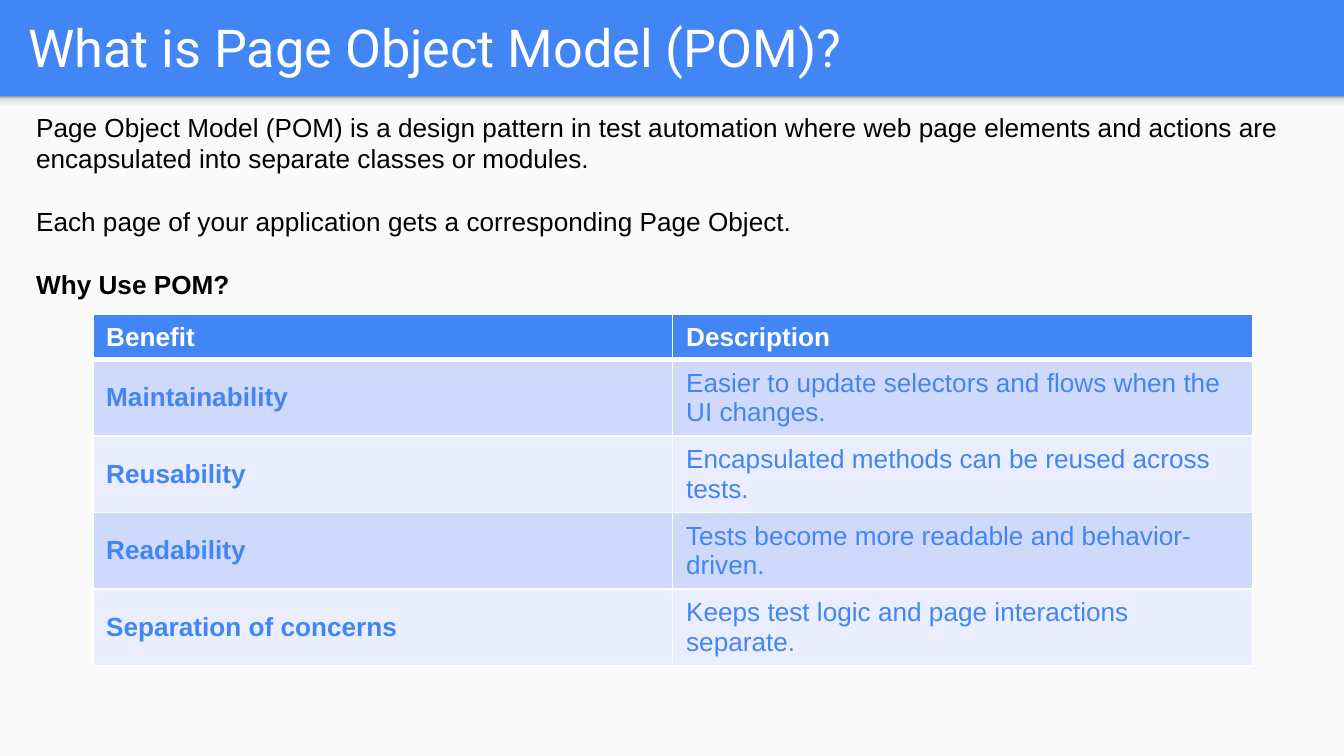
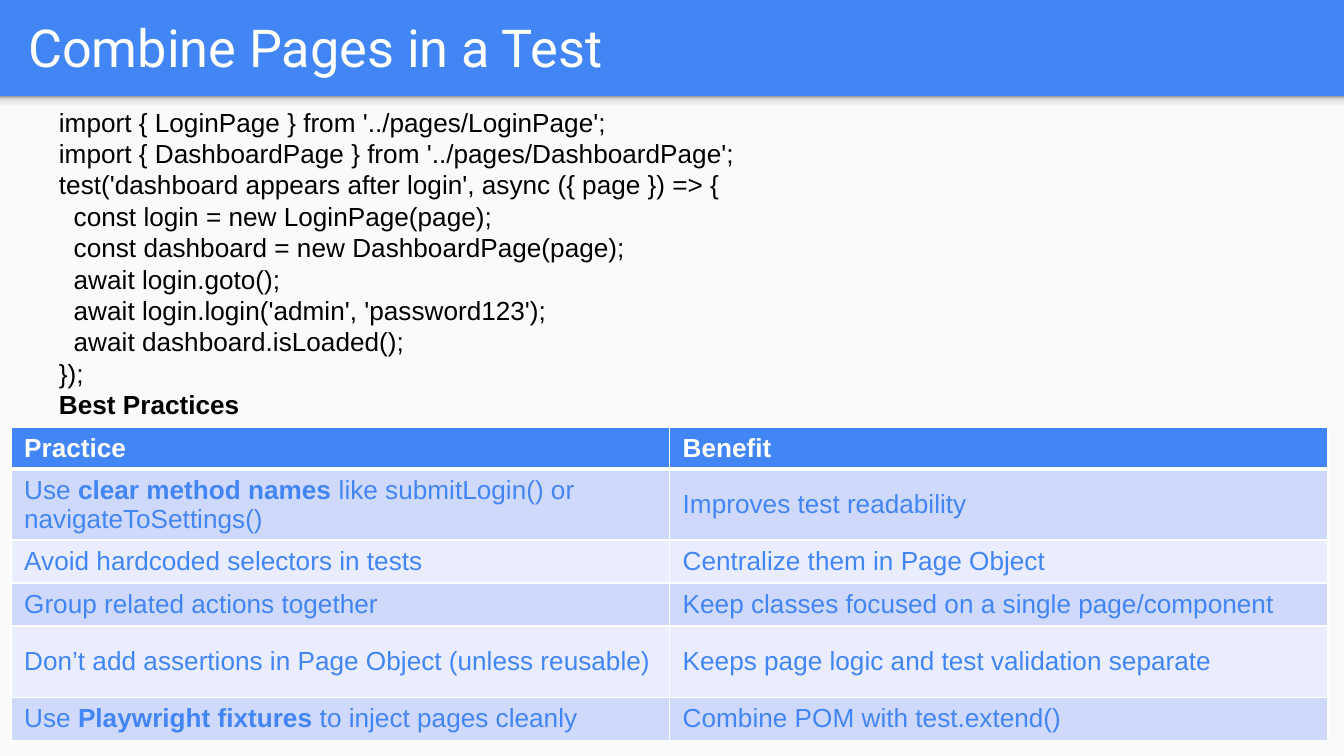
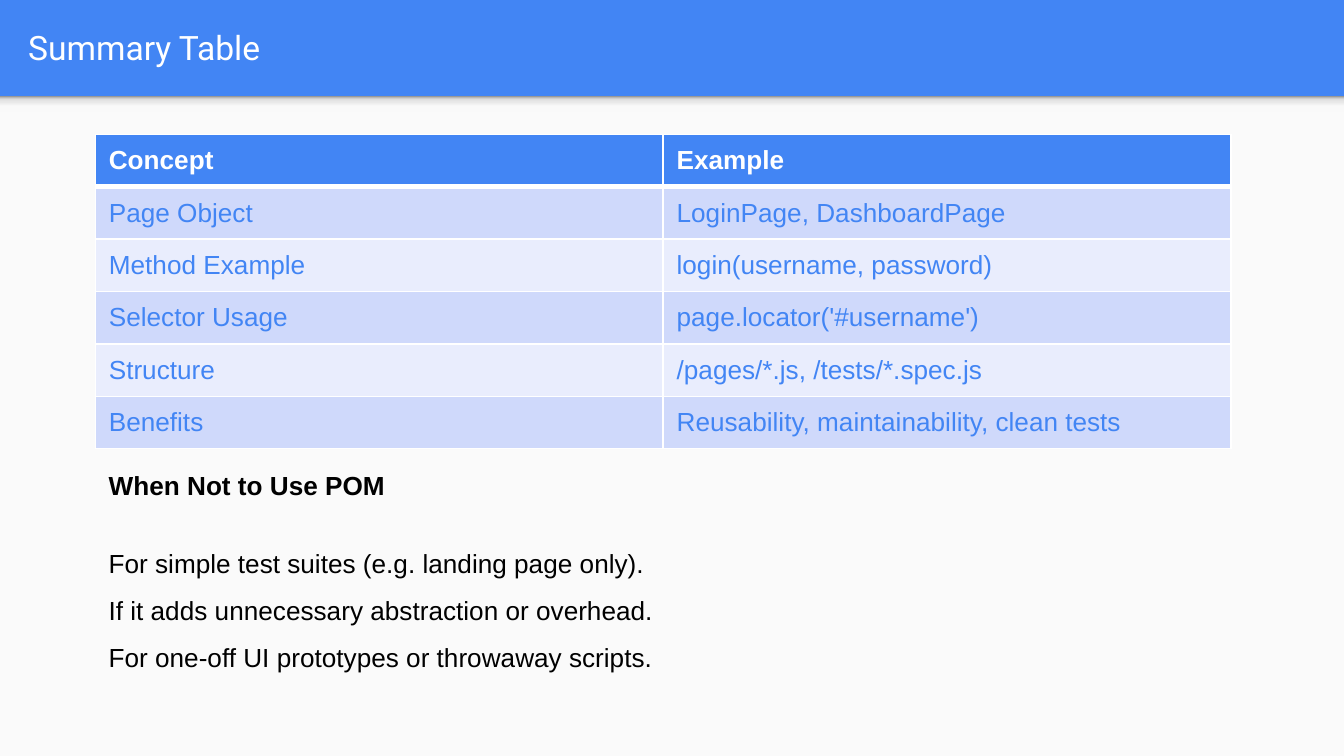
from dataclasses import dataclass

from lxml.etree import SubElement
from pptx import Presentation
from pptx.dml.color import RGBColor as RGB
from pptx.enum.shapes import MSO_SHAPE as SHAPE
from pptx.enum.text import MSO_ANCHOR as ANCHOR, PP_ALIGN as ALIGN
from pptx.oxml.ns import qn
from pptx.util import Inches, Pt


@dataclass(frozen=True)
class Theme:
    blue: str = "4285F4"
    paper: str = "FAFAFA"
    white: str = "FFFFFF"
    black: str = "000000"
    stripes: tuple = ("CFD9FB", "E9EDFD")
    shadow_stops: tuple = ((0, "F9F9F9"), (36, "F9F9F9"), (80, "DEDEDE"), (100, "999999"))
    title_font: str = "Roboto"
    body_font: str = "Arial"
    title_size: int = 28
    small_title_size: int = 18
    body_size: int = 14
    line_pitch: float = 16.8
    panel_height: float = 4.91


THEME = Theme()
WIDTH = 10
HEIGHT = WIDTH * 9 / 16

BENEFITS = [
    ("Benefit", "Description"),
    ("**Maintainability**", "Easier to update selectors and flows when the UI changes."),
    ("**Reusability**", "Encapsulated methods can be reused across tests."),
    ("**Readability**", "Tests become more readable and behavior-driven."),
    ("**Separation of concerns**", "Keeps test logic and page interactions separate."),
]
PRACTICES = [
    ("Practice", "Benefit"),
    ("Use **clear method names** like submitLogin() or navigateToSettings()",
     "Improves test readability"),
    ("Avoid hardcoded selectors in tests", "Centralize them in Page Object"),
    ("Group related actions together", "Keep classes focused on a single page/component"),
    ("Don’t add assertions in Page Object (unless reusable)",
     "Keeps page logic and test validation separate"),
    ("Use **Playwright fixtures** to inject pages cleanly", "Combine POM with test.extend()"),
]
SUMMARY = [
    ("Concept", "Example"),
    ("Page Object", "LoginPage, DashboardPage"),
    ("Method Example", "login(username, password)"),
    ("Selector Usage", "page.locator('#username')"),
    ("Structure", "/pages/*.js, /tests/*.spec.js"),
    ("Benefits", "Reusability, maintainability, clean tests"),
]
TEST_OPENING = [
    "import { LoginPage } from '../pages/LoginPage';",
    "import { DashboardPage } from '../pages/DashboardPage';",
    "test('dashboard appears after login', async ({ page }) => {",
]
TEST_STEPS = [
    "const login = new LoginPage(page);",
    "const dashboard = new DashboardPage(page);",
    "await login.goto();",
    "await login.login('admin', 'password123');",
    "await dashboard.isLoaded();",
]
POM_EXCEPTIONS = [
    "For simple test suites (e.g. landing page only).",
    "If it adds unnecessary abstraction or overhead.",
    "For one-off UI prototypes or throwaway scripts.",
]


def add_run(paragraph, text, color, size=THEME.body_size, font=THEME.body_font, bold=False):
    run = paragraph.add_run()
    run.text = text
    run.font.name = font
    run.font.size = Pt(size)
    run.font.bold = bold
    run.font.color.rgb = RGB.from_string(color)


def add_marked_runs(paragraph, text, color):
    """Add text run by run; parts between double asterisks are bold."""
    for index, part in enumerate(text.split("**")):
        if part:
            add_run(paragraph, part, color, bold=index % 2 == 1)


def fill_gradient(shape, stops):
    """Run the stops from the bottom of the shape to its top."""
    shape.fill.gradient()
    shape.fill.gradient_angle = 90
    stop_list = shape.element.spPr.find(qn("a:gradFill")).find(qn("a:gsLst"))
    for stop in list(stop_list):
        stop_list.remove(stop)
    for percent, color in stops:
        stop = SubElement(stop_list, qn("a:gs"), pos=str(percent * 1000))
        SubElement(stop, qn("a:srgbClr"), val=color)


def add_strip(slide, height):
    """Add a full-width strip directly below the title band."""
    strip = slide.shapes.add_shape(
        SHAPE.RECTANGLE, 0, Inches(HEIGHT - THEME.panel_height), Inches(WIDTH), Inches(height))
    strip.shadow.inherit = False
    strip.line.fill.background()
    return strip


def set_up_master(prs, slide):
    """Give the master its blue background, content panel and band shadow."""
    master = prs.slide_master
    master.background.fill.solid()
    master.background.fill.fore_color.rgb = RGB.from_string(THEME.blue)

    panel = add_strip(slide, THEME.panel_height)
    panel.fill.solid()
    panel.fill.fore_color.rgb = RGB.from_string(THEME.paper)
    band_shadow = add_strip(slide, 0.12)
    fill_gradient(band_shadow, THEME.shadow_stops)

    for index, strip in enumerate((panel, band_shadow)):
        strip.element.nvSpPr.cNvPr.set("id", str(101 + index))
        master.shapes.element.insert(2 + index, strip.element)


def add_title(slide, text, size=THEME.title_size):
    title = slide.shapes.title
    title.left, title.top = Inches(0.11), Inches(0.02)
    title.width, title.height = Inches(9.65), Inches(0.66)
    frame = title.text_frame
    frame.word_wrap = True
    frame.vertical_anchor = ANCHOR.MIDDLE
    frame.margin_left = frame.margin_right = Inches(0.1)
    frame.margin_top = frame.margin_bottom = Inches(0.1)
    paragraph = frame.paragraphs[0]
    paragraph.alignment = ALIGN.LEFT
    add_run(paragraph, text, THEME.white, size, THEME.title_font)


def add_text_box(slide, left, top, width, height):
    box = slide.shapes.add_textbox(Inches(left), Inches(top), Inches(width), Inches(height))
    box.text_frame.word_wrap = True
    return box.text_frame


def add_line(frame, text, gap=0, pitch=1, indent=0):
    """Add a paragraph; gap and pitch count body lines, indent is in inches."""
    paragraph = frame.paragraphs[0]
    if paragraph.runs:
        paragraph = frame.add_paragraph()
    paragraph.line_spacing = Pt(THEME.line_pitch * pitch)
    paragraph.space_before = Pt(THEME.line_pitch * gap)
    if indent:
        paragraph._p.get_or_add_pPr().set("marL", str(Inches(indent)))
    add_marked_runs(paragraph, text, THEME.black)


def set_borders(cell, top, bottom):
    properties = cell._tc.get_or_add_tcPr()
    sides = (("L", 1), ("R", 1), ("T", top), ("B", bottom))
    for index, (side, points) in enumerate(sides):
        border = SubElement(properties, qn(f"a:ln{side}"), w=str(Pt(points)))
        color = SubElement(SubElement(border, qn("a:solidFill")), qn("a:srgbClr"))
        color.set("val", THEME.white)
        properties.insert(index, border)


def add_striped_table(slide, left, top, width, row_heights, rows, cell_margin=0.05):
    """Add a table with a blue header; cell_margin is above and below the text."""
    table = slide.shapes.add_table(
        len(rows), len(rows[0]), Inches(left), Inches(top),
        Inches(width), Inches(sum(row_heights))).table
    for column in table.columns:
        column.width = Inches(width / len(rows[0]))
    for r, (height, texts) in enumerate(zip(row_heights, rows)):
        table.rows[r].height = Inches(height)
        header = r == 0
        fill_color = THEME.blue if header else THEME.stripes[(r - 1) % 2]
        for c, text in enumerate(texts):
            cell = table.cell(r, c)
            cell.vertical_anchor = ANCHOR.MIDDLE
            cell.margin_top = cell.margin_bottom = Inches(cell_margin)
            cell.fill.solid()
            cell.fill.fore_color.rgb = RGB.from_string(fill_color)
            set_borders(cell, top=3 if r == 1 else 1, bottom=3 if header else 1)
            paragraph = cell.text_frame.paragraphs[0]
            if header:
                add_run(paragraph, text, THEME.white, bold=True)
            else:
                add_marked_runs(paragraph, text, THEME.blue)


def build_definition(slide):
    add_title(slide, "What is Page Object Model (POM)?")
    intro = add_text_box(slide, 0.17, 0.78, 9.65, 1.75)
    add_line(intro, "Page Object Model (POM) is a design pattern in test automation where web "
                    "page elements and actions are encapsulated into separate classes or modules.")
    add_line(intro, "Each page of your application gets a corresponding Page Object.", gap=1)
    add_line(intro, "**Why Use POM?**", gap=1)
    add_striped_table(slide, 0.69, 2.34, 8.63, [0.32] + [0.57] * 4, BENEFITS)


def build_combined_test(slide):
    add_title(slide, "Combine Pages in a Test")
    code = add_text_box(slide, 0.34, 0.74, 9.29, 2.93)
    for statement in TEST_OPENING:
        add_line(code, statement)
    for step in TEST_STEPS:
        add_line(code, step, indent=0.11)
    add_line(code, "});")
    add_line(code, "**Best Practices**")
    add_striped_table(slide, 0.08, 3.18, 9.8, [0.31, 0.53, 0.32, 0.32, 0.53, 0.32],
                      PRACTICES, cell_margin=0.03)


def build_summary(slide):
    add_title(slide, "Summary Table", THEME.small_title_size)
    add_striped_table(slide, 0.71, 1, 8.45, [0.39] * len(SUMMARY), SUMMARY)
    exceptions = add_text_box(slide, 0.71, 3.44, 9.05, 1.59)
    add_line(exceptions, "**When Not to Use POM**")
    for index, reason in enumerate(POM_EXCEPTIONS):
        add_line(exceptions, reason, gap=1 if index == 0 else 0, pitch=1.5)


def main():
    prs = Presentation()
    prs.slide_width, prs.slide_height = Inches(WIDTH), Inches(HEIGHT)
    title_only = prs.slide_layouts[5]
    definition, combined_test, summary = (prs.slides.add_slide(title_only) for _ in range(3))
    set_up_master(prs, definition)
    build_definition(definition)
    build_combined_test(combined_test)
    build_summary(summary)
    prs.save("out.pptx")


if __name__ == "__main__":
    main()
